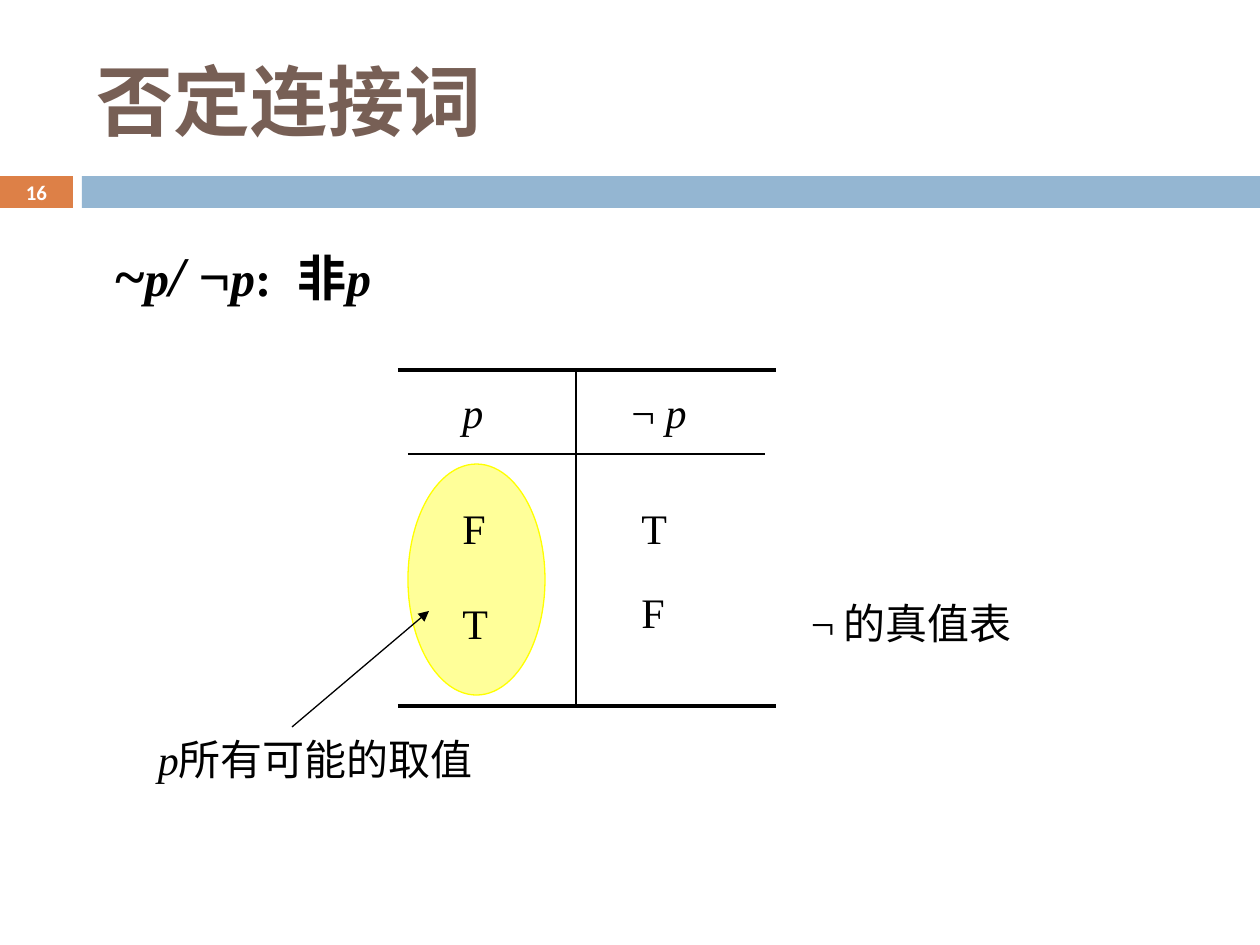
from dataclasses import dataclass

from lxml.etree import SubElement
from pptx import Presentation
from pptx.dml.color import RGBColor
from pptx.enum.shapes import MSO_CONNECTOR, MSO_SHAPE
from pptx.enum.text import MSO_ANCHOR, MSO_AUTO_SIZE, PP_ALIGN
from pptx.oxml.ns import qn
from pptx.util import Emu, Pt

SCALE = 914400 / 126
ROMAN, SANS, HAN = "Times New Roman", "Calibri", "Noto Sans CJK SC"
BLACK, WHITE = "000000", "FFFFFF"


@dataclass
class Run:
    """A piece of text with its size and style."""
    text: str
    size: float = 24
    slant: bool = False
    bold: bool = False
    font: str = ROMAN


@dataclass
class Label:
    """A text box and its runs."""
    box: tuple[int, int, int, int]
    runs: list[Run]


@dataclass
class Rule:
    """A straight line between two points."""
    start: tuple[int, int]
    end: tuple[int, int]
    width: float = 0.75
    arrow: bool = False


LEFT, RIGHT, TOP, BASE, SPLIT = 398, 776, 370, 706, 576
HEAD = 380
CELLS = [
    Label((450, HEAD, 95, 63), [Run("p", slant=True)]),
    Label((619, HEAD, 158, 63), [Run("¬ "), Run("p", slant=True)]),
    Label((450, 496, 95, 63), [Run("F")]),
    Label((450, 591, 126, 63), [Run("T")]),
    Label((629, 496, 126, 63), [Run("T")]),
    Label((629, 580, 95, 63), [Run("F")]),
]
NOTES = [
    Label((103, 234, 651, 81), [
        Run("~", 32, bold=True), Run("p", 28, True, True),
        Run("/ ", 32, True, True), Run("¬", 32, bold=True),
        Run("p", 28, True, True), Run(": ", 28, bold=True),
        Run(" ", 32, bold=True), Run("非", 28, bold=True),
        Run("p", 28, True, True)]),
    Label((788, 591, 408, 63), [
        Run(" ", slant=True), Run("¬"), Run(" ", 20, True), Run("的真值表")]),
    Label((135, 727, 441, 63), [
        Run(" "), Run("p", slant=True), Run("所有可能的取值", font=HAN)]),
]
RULES = [
    Rule((LEFT, TOP), (RIGHT, TOP), 2.25),
    Rule((LEFT, BASE), (RIGHT, BASE), 2.25),
    Rule((SPLIT, TOP), (SPLIT, BASE)),
    Rule((408, 454), (765, 454)),
    Rule((292, 727), (429, 611), arrow=True),
]


def px(*vals: int) -> list[Emu]:
    """Turn pixels into EMU."""
    return [Emu(round(val * SCALE)) for val in vals]


def shade(code: str) -> RGBColor:
    """Turn a hex string into a colour."""
    return RGBColor.from_string(code)


def write(para, text: str, *, size: float, font: str = ROMAN,
          color: str = BLACK, bold: bool = False, slant: bool = False) -> None:
    """Add one formatted run to a paragraph."""
    run = para.add_run()
    run.text = text
    face = run.font
    face.size, face.name, face.bold, face.italic = Pt(size), font, bold, slant
    face.color.rgb = shade(color)
    SubElement(face._element, qn("a:ea")).set("typeface", HAN)


def draw_shape(slide, kind, box: tuple, fill: str, edge: str = "") -> None:
    """Draw a filled shape, with an edge if one is named."""
    shape = slide.shapes.add_shape(kind, *px(*box))
    shape.shadow.inherit = False
    shape.fill.solid()
    shape.fill.fore_color.rgb = shade(fill)
    if edge:
        shape.line.color.rgb = shade(edge)
        shape.line.width = Pt(0.75)
    else:
        shape.line.fill.background()


def draw_label(slide, label: Label) -> None:
    """Draw a text box with its runs."""
    frame = slide.shapes.add_textbox(*px(*label.box)).text_frame
    frame.word_wrap = True
    frame.auto_size = MSO_AUTO_SIZE.SHAPE_TO_FIT_TEXT
    para = frame.paragraphs[0]
    space = SubElement(para._p.get_or_add_pPr(), qn("a:spcBef"))
    SubElement(space, qn("a:spcPct")).set("val", "50000")
    for run in label.runs:
        write(para, run.text, size=run.size, font=run.font,
              bold=run.bold, slant=run.slant)


def draw_rule(slide, rule: Rule) -> None:
    """Draw a black line, with an arrowhead if asked."""
    line = slide.shapes.add_connector(
        MSO_CONNECTOR.STRAIGHT, *px(*rule.start, *rule.end))
    line.line.color.rgb = shade(BLACK)
    line.line.width = Pt(rule.width)
    if rule.arrow:
        SubElement(line.line._get_or_add_ln(), qn("a:tailEnd")).set("type", "triangle")
    SubElement(line._element.spPr, qn("a:effectLst"))


def draw_title(slide, text: str) -> None:
    """Place and fill the title."""
    title = slide.shapes.title
    title.left, title.top, title.width, title.height = px(84, 32, 1124, 136)
    frame = title.text_frame
    frame.vertical_anchor = MSO_ANCHOR.MIDDLE
    para = frame.paragraphs[0]
    para.alignment = PP_ALIGN.LEFT
    write(para, text, size=44, font=SANS, color="775F55", bold=True)


def draw_number(slide, text: str) -> None:
    """Draw the slide number on its tab."""
    frame = slide.shapes.add_textbox(*px(0, 175, 73, 34)).text_frame
    frame.word_wrap = True
    frame.vertical_anchor = MSO_ANCHOR.MIDDLE
    para = frame.paragraphs[0]
    para.alignment = PP_ALIGN.CENTER
    write(para, text, size=11.9, font=SANS, color=WHITE, bold=True)


def main() -> None:
    """Build and save the slide."""
    deck = Presentation()
    deck.slide_width, deck.slide_height = px(1260, 945)
    slide = deck.slides.add_slide(deck.slide_layouts[5])
    draw_shape(slide, MSO_SHAPE.RECTANGLE, (0, 176, 73, 32), "DD8047")
    draw_shape(slide, MSO_SHAPE.RECTANGLE, (82, 176, 1178, 32), "94B6D2")
    draw_number(slide, "16")
    draw_shape(slide, MSO_SHAPE.OVAL, (408, 464, 137, 231), "FFFF99", "FFFF00")
    for rule in RULES:
        draw_rule(slide, rule)
    for label in CELLS + NOTES:
        draw_label(slide, label)
    draw_title(slide, "否定连接词")
    deck.save("out.pptx")


if __name__ == "__main__":
    main()
